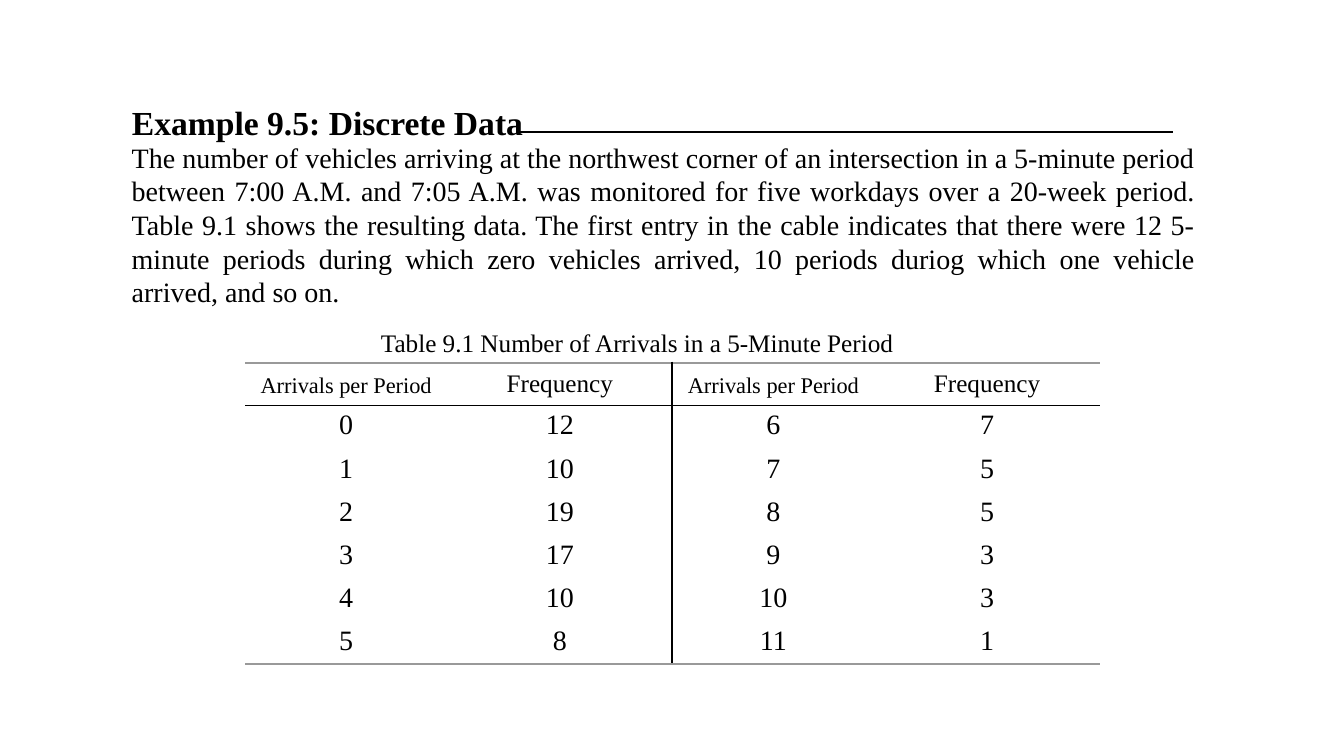
from pptx import Presentation
from pptx.dml.color import RGBColor
from pptx.enum.shapes import MSO_CONNECTOR as Connector
from pptx.enum.text import MSO_ANCHOR as Anchor, MSO_AUTO_SIZE as AutoSize, PP_ALIGN as Align
from pptx.oxml.ns import qn
from pptx.util import Pt
from lxml.etree import SubElement

COLORS = {"ink": "000000", "frame": "999999"}


def apply(target, values):
    for attribute, value in values.items():
        setattr(target, attribute, value)


class Page:
    font = "Times New Roman"

    def __init__(self, deck):
        self.slide = deck.slides.add_slide(deck.slide_layouts[5])

    def fill_text(self, frame, text, size, align, bold=False):
        frame.text = text
        paragraph = frame.paragraphs[0]
        paragraph.alignment = align
        apply(paragraph.font, {"name": self.font, "size": Pt(size), "bold": bold})
        paragraph.font.color.rgb = RGBColor.from_string(COLORS["ink"])
        return paragraph

    def place(self, shape, box, text, size, align, bold=False, frame_format=None):
        apply(shape, dict(zip(("left", "top", "width", "height"), map(Pt, box))))
        frame = shape.text_frame
        apply(frame, {"word_wrap": True, "auto_size": AutoSize.NONE,
                      "vertical_anchor": Anchor.TOP} | (frame_format or {}))
        self.fill_text(frame, text, size, align, bold)

    def title(self, box, text, size):
        self.place(self.slide.shapes.title, box, text, size, Align.JUSTIFY, True,
                   {"margin_bottom": 0})

    def text(self, box, text, size, align, **frame_format):
        shape = self.slide.shapes.add_textbox(0, 0, 0, 0)
        self.place(shape, box, text, size, align, frame_format=frame_format)

    def rule(self, start, end, width):
        rule = self.slide.shapes.add_connector(
            Connector.STRAIGHT, *map(Pt, (*start, *end)))
        rule.line.width = Pt(width)
        rule.line.color.rgb = RGBColor.from_string(COLORS["ink"])
        SubElement(rule._element.spPr, qn("a:effectLst"))

    def border(self, cell, side, style):
        properties = cell._tc.get_or_add_tcPr()
        edge = SubElement(properties, qn(f"a:ln{side}"))
        if style is None:
            SubElement(edge, qn("a:noFill"))
            return
        color, width = style
        edge.set("w", str(Pt(width)))
        fill = SubElement(edge, qn("a:solidFill"))
        SubElement(fill, qn("a:srgbClr")).set("val", COLORS[color])

    def table(self, box, rows, header_height, header_sizes, body_size):
        row_count, column_count = len(rows), len(rows[0])
        table = self.slide.shapes.add_table(
            row_count, column_count, *map(Pt, box)).table
        apply(table, {"first_row": False, "horz_banding": False})
        body_height = (box[3] - header_height) / (row_count - 1)
        for column in table.columns:
            column.width = Pt(box[2] / column_count)
        frame, divider, header_line = ("frame", 2.25), ("ink", 1.5), ("ink", 1)
        middle = column_count // 2
        for r, values in enumerate(rows):
            table.rows[r].height = Pt(body_height if r else header_height)
            for c, value in enumerate(values):
                cell = table.cell(r, c)
                size = body_size if r else header_sizes[c % 2]
                paragraph = self.fill_text(cell.text_frame, value, size, Align.CENTER)
                paragraph.line_spacing = Pt(20)
                indents = paragraph._p.get_or_add_pPr()
                indents.set("marL", str(Pt(5)))
                indents.set("marR", str(Pt(13)))
                apply(cell, {"vertical_anchor": Anchor.MIDDLE,
                             "margin_left": Pt(5), "margin_right": Pt(5),
                             "margin_top": 0, "margin_bottom": 0})
                edges = {
                    "L": divider if c == middle else None,
                    "R": divider if c == middle - 1 else None,
                    "T": {0: frame, 1: header_line}.get(r),
                    "B": {0: header_line, row_count - 1: frame}.get(r),
                }
                for side, style in edges.items():
                    self.border(cell, side, style)
                cell.fill.background()


def main():
    deck = Presentation()
    apply(deck, {"slide_width": Pt(960), "slide_height": Pt(540)})
    page = Page(deck)

    page.title((87, 69, 774, 31.2), "Example 9.5: Discrete Data", 24)
    page.text(
        (87, 100.2, 774, 126.6),
        "The number of vehicles arriving at the northwest corner of an intersection "
        "in a 5-minute period between 7:00 A.M. and 7:05 A.M. was monitored for five "
        "workdays over a 20-week period. Table 9.1 shows the resulting data. The first "
        "entry in the cable indicates that there were 12 5-minute periods during which "
        "zero vehicles arrived, 10 periods duriog which one vehicle arrived, and so on.",
        20, Align.JUSTIFY, margin_top=0)
    page.rule((371.5, 94.2), (838, 94.2), 1.5)

    frequencies = [12, 10, 19, 17, 10, 8, 7, 5, 5, 3, 3, 1]
    half = len(frequencies) // 2
    header = ["Arrivals per Period", "Frequency"] * 2
    body = [[str(value) for arrivals in (row, row + half)
             for value in (arrivals, frequencies[arrivals])]
            for row in range(half)]
    page.table((175, 259.2, 610.4, 215.2), [header, *body], 30.4, (16, 18), 20)
    page.text((265, 230.4, 430, 29), "Table 9.1 Number of Arrivals in a 5-Minute Period",
              18, Align.LEFT)

    deck.save("out.pptx")


if __name__ == "__main__":
    main()
